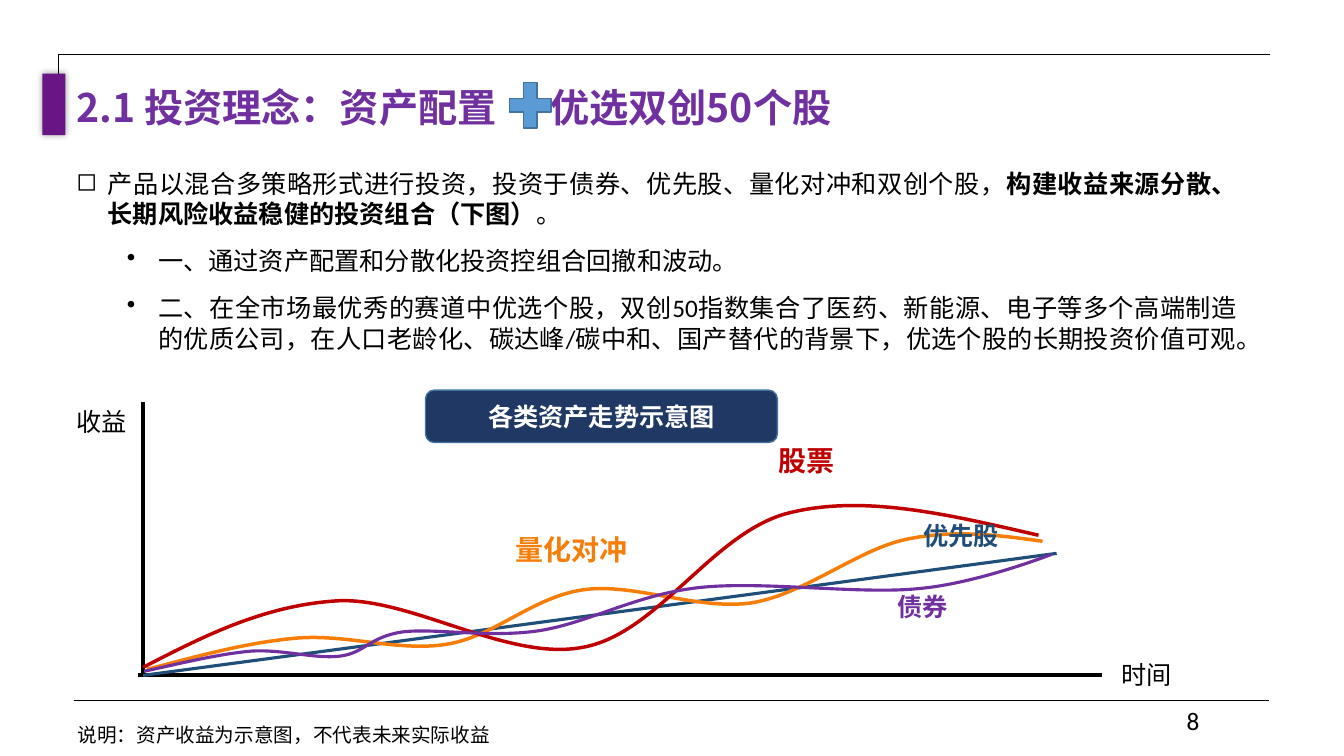
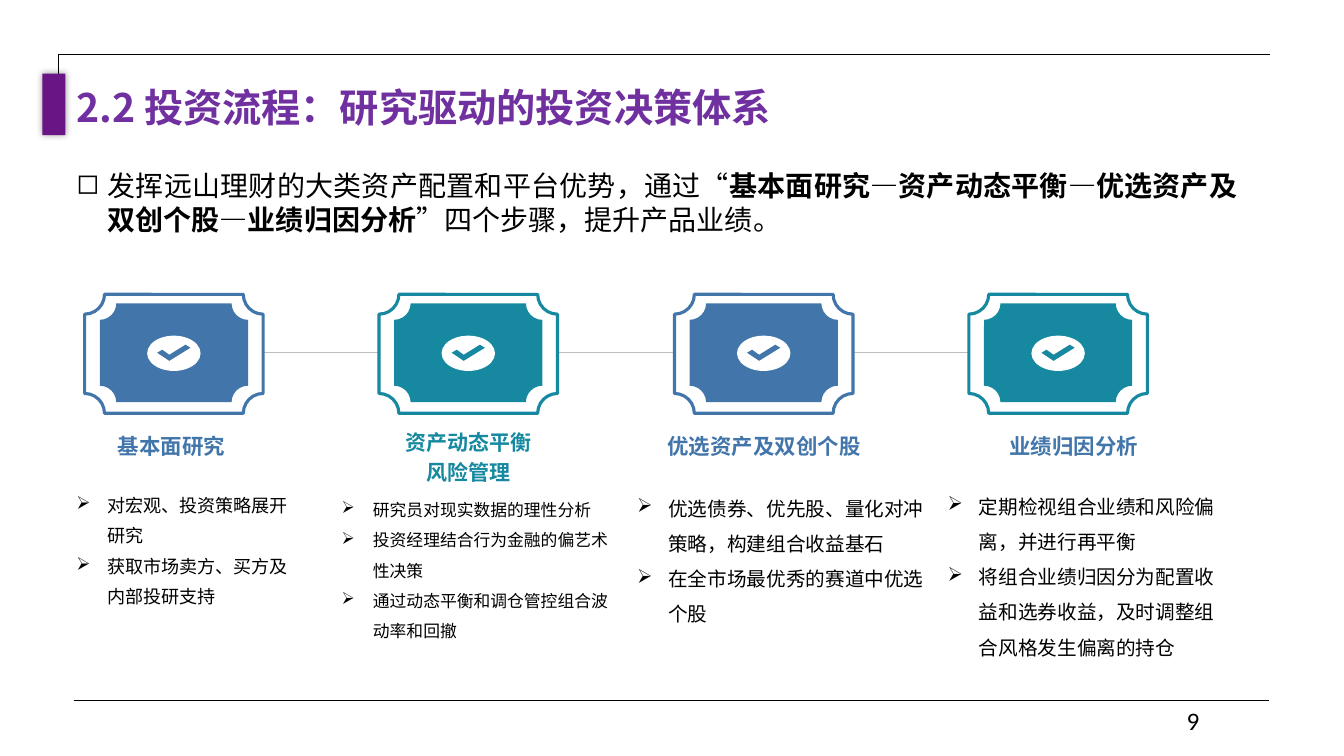
"""Build two slides on an investment philosophy and its investment process."""
from lxml.etree import SubElement
from pptx import Presentation
from pptx.dml.color import RGBColor
from pptx.enum.shapes import MSO_CONNECTOR, MSO_SHAPE
from pptx.enum.text import MSO_ANCHOR, PP_ALIGN
from pptx.oxml.ns import qn
from pptx.util import Pt

PX = 9144
BLACK = RGBColor(0x00, 0x00, 0x00)
WHITE = RGBColor(0xFF, 0xFF, 0xFF)
GREY = RGBColor(0xBF, 0xBF, 0xBF)
PURPLE = RGBColor(0x70, 0x30, 0xA0)
DEEP_PURPLE = RGBColor(0x6A, 0x15, 0x86)
RED = RGBColor(0xC0, 0x00, 0x00)
ORANGE = RGBColor(0xF6, 0x7E, 0x08)
NAVY = RGBColor(0x1F, 0x4E, 0x79)
DARK_NAVY = RGBColor(0x20, 0x38, 0x64)
SKY = RGBColor(0x5B, 0x9B, 0xD5)
EDGE = RGBColor(0x43, 0x73, 0x9E)
BLUE = RGBColor(0x42, 0x76, 0xAA)
TEAL = RGBColor(0x16, 0x89, 0xA0)
BODY_FONT, CHINESE_FONT = "Calibri", "Noto Sans CJK SC"

INDENT = 31
TITLE_TAB = 470
BOTTOM_RULE = (73, 695, 1259, 695)
TOP_RULE = (669, 665, 649, -537)

PHILOSOPHY_TITLE = "2.1 投资理念：资产配置\t优选双创50个股"
PHILOSOPHY = [
    ("◻", 31, ("产品以混合多策略形式进行投资，投资于债券、优先股、量化对冲和双创个股，",
               "构建收益来源分散、长期风险收益稳健的投资组合（下图）", "。")),
    ("•", 81, ("一、通过资产配置和分散化投资控组合回撤和波动。",)),
    ("•", 81, ("二、在全市场最优秀的赛道中优选个股，双创50指数集合了医药、新能源、电子等多个高端制造的优质公司，"
               "在人口老龄化、碳达峰/碳中和、国产替代的背景下，优选个股的长期投资价值可观。",)),
]
FOOTNOTE = "说明：资产收益为示意图，不代表未来实际收益"
CHART_TITLE = "各类资产走势示意图"
STRAIGHT_LINES = [
    ((142, 399, 142, 670), BLACK, 2.5),
    ((137, 670, 1093, 670), BLACK, 2.75),
    ((142, 670, 1048, 549), NAVY, 2.25),
]
CURVES = [
    (ORANGE, 2.5, [(146, 664), (196, 651), (246, 637), (295, 633), (345, 629), (396, 647),
                   (444, 639), (491, 631), (529, 592), (579, 585), (629, 578), (692, 606),
                   (746, 598), (799, 589), (851, 545), (899, 535), (947, 525), (991, 531),
                   (1034, 537)]),
    (RED, 2.5, [(142, 662), (202, 631), (263, 600), (336, 596), (409, 593), (505, 657),
                (579, 642), (653, 628), (707, 528), (782, 509), (857, 490), (943, 511),
                (1030, 531)]),
    (PURPLE, 2.25, [(143, 666), (180, 658), (216, 649), (249, 646), (281, 644), (312, 654),
                    (337, 651), (362, 648), (366, 632), (399, 627), (431, 623), (484, 633),
                    (533, 626), (582, 619), (630, 590), (693, 583), (756, 576), (852, 590),
                    (911, 584), (969, 579), (1043, 550), (1043, 550)]),
]
CHART_LABELS = [
    ("收益", (65, 398, 71, 40), 18, BLACK, False),
    ("时间", (1102, 649, 71, 40), 18, BLACK, False),
    ("股票", (754, 435, 92, 44), 20, RED, True),
    ("量化对冲", (493, 523, 147, 44), 20, ORANGE, True),
    ("优先股", (877, 511, 152, 40), 18, NAVY, True),
    ("债券", (839, 582, 152, 40), 18, PURPLE, True),
]

PROCESS_TITLE = "2.2 投资流程：研究驱动的投资决策体系"
PROCESS = [
    ("◻", 31, ("发挥远山理财的大类资产配置和平台优势，通过“",
               "基本面研究—资产动态平衡—优选资产及双创个股—业绩归因分析",
               "”四个步骤，提升产品业绩。")),
]
STEPS = [
    dict(color=BLUE, heading=["基本面研究"], heading_box=(56, 428, 228, 32),
         heading_size=15.3, heading_spacing=0.8, box=(66, 477, 241, 130), size=12.9, spacing=1.4,
         points=["对宏观、投资策略展开研究", "获取市场卖方、买方及内部投研支持"]),
    dict(color=TEAL, heading=["资产动态平衡", "风险管理"], heading_box=(351, 420, 228, 66),
         heading_size=15, heading_spacing=1.2, box=(329, 481, 298, 147), size=12, spacing=1.5,
         points=["研究员对现实数据的理性分析", "投资经理结合行为金融的偏艺术性决策",
                 "通过动态平衡和调仓管控组合波动率和回撤"]),
    dict(color=BLUE, heading=["优选资产及双创个股"], heading_box=(644, 428, 228, 32),
         heading_size=15.3, heading_spacing=0.8, box=(622, 476, 315, 168), size=14, spacing=1.5,
         points=["优选债券、优先股、量化对冲策略，构建组合收益基石", "在全市场最优秀的赛道中优选个股"]),
    dict(color=TEAL, heading=["业绩归因分析"], heading_box=(951, 428, 228, 32), heading_color=BLUE,
         heading_size=15.3, heading_spacing=0.8, box=(930, 474, 291, 168), size=14, spacing=1.5,
         points=["定期检视组合业绩和风险偏离，并进行再平衡",
                 "将组合业绩归因分为配置收益和选券收益，及时调整组合风格发生偏离的持仓"]),
]
FIRST_CARD, LAST_CARD, CARD_TOP = 84, 961, 292
CHECK = [(22, 25), (10, 17), (15, 14), (22, 19), (38, 9), (43, 12)]


def emu(lengths):
    return [round(length * PX) for length in lengths]


def set_font(para, size, color, bold, name, chinese):
    font = para.font
    font.size, font.bold, font.name = Pt(size), bold, name
    font.color.rgb = color
    SubElement(font._element, qn("a:ea")).set("typeface", chinese)


def add_bullet(para, mark, margin):
    properties = para._p.get_or_add_pPr()
    properties.set("marL", str(margin * PX))
    properties.set("indent", str(-INDENT * PX))
    SubElement(properties, qn("a:buChar")).set("char", mark)


def write(shape, paras, size, color=BLACK, bold=False, align=PP_ALIGN.LEFT, anchor=MSO_ANCHOR.TOP,
          spacing=None, gap=0, wrap=True, name=BODY_FONT, chinese=BODY_FONT, tab=None):
    """Fill a shape with (bullet, margin, spans) paragraphs; every second span is bold."""
    frame = shape.text_frame
    frame.word_wrap, frame.vertical_anchor = wrap, anchor
    for index, (mark, margin, spans) in enumerate(paras):
        para = frame.add_paragraph() if index else frame.paragraphs[0]
        para.alignment = align
        if spacing:
            para.line_spacing = spacing
        if gap:
            para.space_after = Pt(gap)
            if index:
                para.space_before = Pt(gap)
        if mark:
            add_bullet(para, mark, margin)
        if tab:
            stops = SubElement(para._p.get_or_add_pPr(), qn("a:tabLst"))
            SubElement(stops, qn("a:tab"), pos=str(tab * PX), algn="l")
        set_font(para, size, color, bold, name, chinese)
        for position, words in enumerate(spans):
            span = para.add_run()
            span.text = words
            if position % 2:
                span.font.bold = True


def plain(*lines):
    return [(None, 0, (line,)) for line in lines]


def add_text(page, box, paras, size, **style):
    write(page.shapes.add_textbox(*emu(box)), paras, size, **style)


def paint(shape, fill=None, line=None, width=1):
    shape.shadow.inherit = False
    if fill is None:
        shape.fill.background()
    else:
        shape.fill.solid()
        shape.fill.fore_color.rgb = fill
    if line is None:
        shape.line.fill.background()
    else:
        shape.line.color.rgb, shape.line.width = line, Pt(width)
    return shape


def add_shape(page, kind, box, **look):
    return paint(page.shapes.add_shape(kind, *emu(box)), **look)


def add_line(page, ends, color, width, kind=MSO_CONNECTOR.STRAIGHT):
    line = page.shapes.add_connector(kind, *emu(ends))
    line.line.color.rgb, line.line.width = color, Pt(width)
    SubElement(line._element.spPr, qn("a:effectLst"))
    return line


def add_corner_rule(page):
    """Draw one line with a single corner, turned by a quarter."""
    properties = add_line(page, TOP_RULE, BLACK, 0.75, MSO_CONNECTOR.ELBOW)._element.spPr
    properties.find(qn("a:prstGeom")).set("prst", "bentConnector2")
    properties.find(qn("a:xfrm")).set("rot", "5400000")


def add_outline(page, points, close, **look):
    start, *rest = [emu(point) for point in points]
    builder = page.shapes.build_freeform(*start)
    builder.add_line_segments(rest, close=close)
    return paint(builder.convert_to_shape(), **look)


def add_curve(page, knots, **look):
    """Draw a chain of cubic Bezier segments."""
    curve = add_outline(page, knots, False, **look)
    track = curve._element.find(".//" + qn("a:path"))
    steps = track.findall(qn("a:lnTo"))
    for first in range(0, len(steps), 3):
        bend = SubElement(track, qn("a:cubicBezTo"))
        for step in steps[first:first + 3]:
            bend.append(step[0])
            track.remove(step)


def add_glow(shape):
    shadow = SubElement(shape._element.spPr.find(qn("a:effectLst")), qn("a:outerShdw"),
                        blurRad=str(Pt(5)), dist="0", dir="0", algn="ctr", rotWithShape="0")
    color = SubElement(shadow, qn("a:srgbClr"), val="000000")
    SubElement(color, qn("a:alpha"), val="40000")


def add_page(deck, title, number, body, body_box, body_size, **body_style):
    page = deck.slides.add_slide(deck.slide_layouts[6])
    add_line(page, BOTTOM_RULE, BLACK, 0.75)
    add_corner_rule(page)
    add_text(page, (1167, 695, 300, 40), plain(number), 18)
    add_text(page, (66, 78, 1104, 61), plain(title), 28, color=PURPLE, bold=True, spacing=0.9,
             anchor=MSO_ANCHOR.MIDDLE, name=CHINESE_FONT, chinese=CHINESE_FONT,
             tab=TITLE_TAB if "\t" in title else None)
    add_glow(add_shape(page, MSO_SHAPE.RECTANGLE, (42, 73, 23, 61), fill=DEEP_PURPLE))
    add_text(page, body_box, body, body_size, align=PP_ALIGN.JUSTIFY, gap=6, **body_style)
    return page


def build_philosophy(deck):
    page = add_page(deck, PHILOSOPHY_TITLE, "8", PHILOSOPHY, (66, 162, 1171, 195), 18)
    add_shape(page, MSO_SHAPE.MATH_PLUS, (498, 74, 56, 61), fill=SKY, line=EDGE)
    add_text(page, (67, 712, 648, 34), plain(FOOTNOTE), 14)
    for ends, color, width in STRAIGHT_LINES:
        add_line(page, ends, color, width)
    for color, width, knots in CURVES:
        add_curve(page, knots, line=color, width=width)
    for words, box, size, color, bold in CHART_LABELS:
        add_text(page, box, plain(words), size, color=color, bold=bold, align=PP_ALIGN.CENTER,
                 wrap=False)
    banner = add_shape(page, MSO_SHAPE.ROUNDED_RECTANGLE, (422, 387, 349, 52),
                       fill=DARK_NAVY, line=EDGE)
    write(banner, plain(CHART_TITLE), 18, color=WHITE, bold=True, align=PP_ALIGN.CENTER,
          anchor=MSO_ANCHOR.MIDDLE)


def add_step(page, left, step):
    color = step["color"]
    add_shape(page, MSO_SHAPE.PLAQUE, (left, CARD_TOP, 177, 118), fill=WHITE, line=color,
              width=2.25)
    add_shape(page, MSO_SHAPE.PLAQUE, (left + 15, CARD_TOP + 9, 147, 98), fill=color)
    oval_left, oval_top = left + 62, CARD_TOP + 41
    add_shape(page, MSO_SHAPE.OVAL, (oval_left, oval_top, 53, 35), fill=WHITE)
    add_outline(page, [(oval_left + x, oval_top + y) for x, y in CHECK], True, fill=color)
    add_text(page, step["heading_box"], plain(*step["heading"]), step["heading_size"],
             color=step.get("heading_color", color), bold=True, align=PP_ALIGN.CENTER,
             anchor=MSO_ANCHOR.BOTTOM, spacing=step["heading_spacing"], wrap=False)
    add_text(page, step["box"], [("➢", INDENT, (point,)) for point in step["points"]],
             step["size"], spacing=step["spacing"])


def build_process(deck):
    page = add_page(deck, PROCESS_TITLE, "9", PROCESS, (66, 162, 1171, 77), 20,
                    chinese=CHINESE_FONT, spacing=Pt(24.3))
    add_line(page, (199, 350, 1122, 350), GREY, 1)
    for index, step in enumerate(STEPS):
        left = FIRST_CARD + round((LAST_CARD - FIRST_CARD) * index / (len(STEPS) - 1))
        add_step(page, left, step)


def main():
    deck = Presentation()
    deck.slide_width, deck.slide_height = emu((1333, 750))
    build_philosophy(deck)
    build_process(deck)
    deck.save("out.pptx")


if __name__ == "__main__":
    main()
